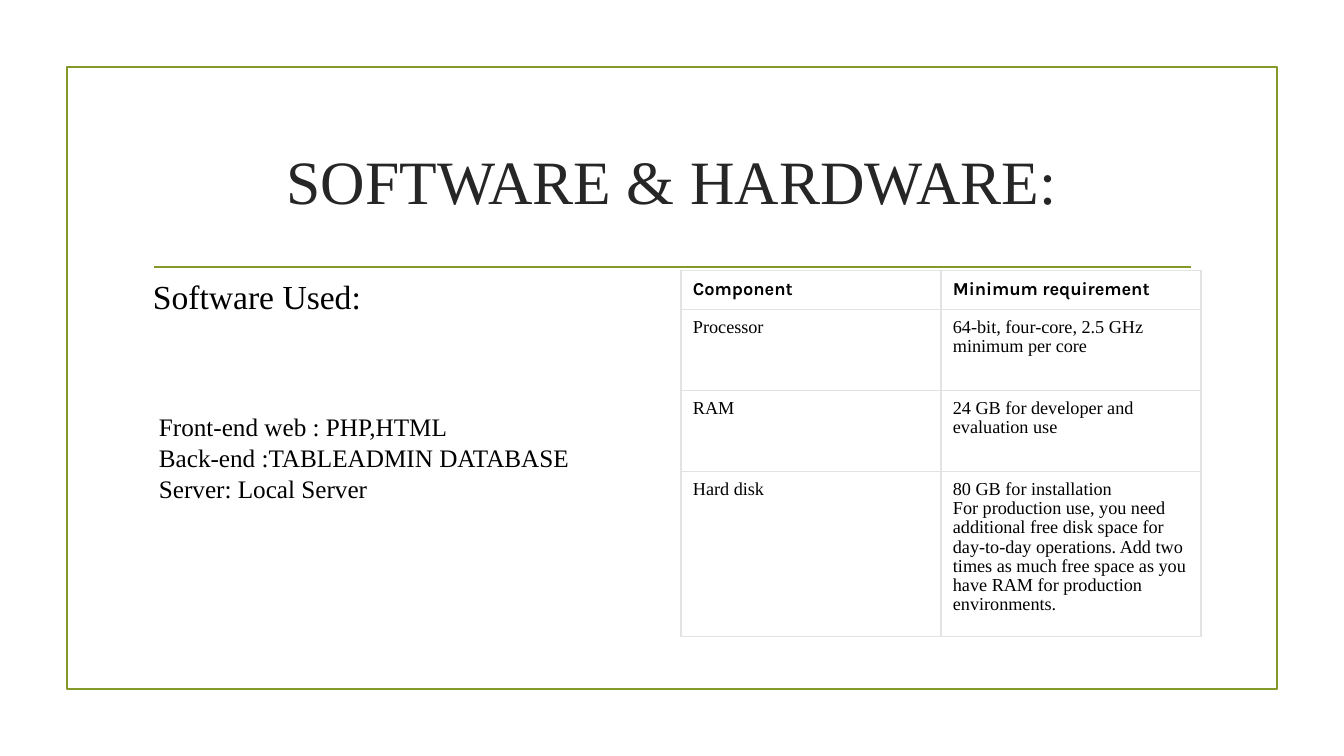
"""Builds the software and hardware requirements slide."""
from lxml.etree import SubElement
from pptx import Presentation
from pptx.dml.color import RGBColor
from pptx.enum.shapes import MSO_CONNECTOR as CONNECTOR, MSO_SHAPE as SHAPE
from pptx.enum.text import MSO_ANCHOR as ANCHOR, PP_ALIGN as ALIGN
from pptx.oxml.ns import qn
from pptx.util import Emu, Pt

OLIVE = RGBColor(0x83, 0x99, 0x2A)
CHARCOAL = RGBColor(0x26, 0x26, 0x26)
BLACK = RGBColor(0, 0, 0)
WHITE = RGBColor(0xFF, 0xFF, 0xFF)
GREY = RGBColor(0xE3, 0xE3, 0xE3)
SERIF = "Times New Roman"


def px(length):
    return Emu(round(length * 914400 / 100.8))


def add_text(paragraph, text, size, color=BLACK, font=SERIF, bold=False):
    run = paragraph.add_run()
    run.text = text
    run.font.size = Pt(size)
    run.font.name = font
    run.font.bold = bold
    run.font.color.rgb = color


deck = Presentation()
deck.slide_width, deck.slide_height = px(1344), px(756)
slide = deck.slides.add_slide(deck.slide_layouts[5])
shapes = slide.shapes

frame = shapes.add_shape(SHAPE.RECTANGLE, px(67), px(67), px(1210), px(622))
frame.shadow.inherit = False
frame.fill.background()
frame.line.color.rgb = OLIVE
frame.line.width = Pt(1.25)

divider = shapes.add_connector(CONNECTOR.STRAIGHT, px(154), px(267), px(1191), px(267))
divider.line.color.rgb = OLIVE
divider.line.width = Pt(1.25)
SubElement(divider._element.spPr, qn("a:effectLst"))

title = shapes.title
title.left, title.top, title.width, title.height = px(143), px(108), px(1058), px(144)
title.text_frame.vertical_anchor = ANCHOR.MIDDLE
heading = title.text_frame.paragraphs[0]
heading.alignment = ALIGN.CENTER
add_text(heading, "SOFTWARE & HARDWARE:", 44, CHARCOAL)

requirements = [
    ("Component", "Minimum requirement"),
    ("Processor", "64-bit, four-core, 2.5 GHz minimum per core"),
    ("RAM", "24 GB for developer and evaluation use"),
    ("Hard disk", "80 GB for installation\nFor production use, you need additional free disk "
     "space for day-to-day operations. Add two times as much free space as you have RAM "
     "for production environments."),
]
row_heights = [39, 81, 81, 165]
table = shapes.add_table(4, 2, px(681), px(270), px(520), px(sum(row_heights))).table
for column in table.columns:
    column.width = px(260)
for r, (entries, height) in enumerate(zip(requirements, row_heights)):
    table.rows[r].height = px(height)
    for c, entry in enumerate(entries):
        cell = table.cell(r, c)
        cell.margin_left = cell.margin_right = px(12)
        cell.margin_top = cell.margin_bottom = px(9)
        cell.vertical_anchor = ANCHOR.BOTTOM if r == 0 else ANCHOR.TOP
        for i, line in enumerate(entry.split("\n")):
            paragraph = cell.text_frame.add_paragraph() if i else cell.text_frame.paragraphs[0]
            if r == 0:
                add_text(paragraph, line, 13, font="Karla", bold=True)
            else:
                paragraph.line_spacing = 0.96
                add_text(paragraph, line, 13)
        cell_format = cell._tc.get_or_add_tcPr()
        for side, weight in (("L", 1), ("R", 1), ("T", 0.75), ("B", 0.75)):
            border = SubElement(cell_format, qn(f"a:ln{side}"), w=str(Pt(weight)))
            border_fill = SubElement(border, qn("a:solidFill"))
            SubElement(border_fill, qn("a:srgbClr"), val=str(GREY))
        cell.fill.solid()
        cell.fill.fore_color.rgb = WHITE

software = shapes.add_textbox(px(143), px(271), px(450), px(265)).text_frame
software.word_wrap = True
add_text(software.paragraphs[0], "Software Used:", 24)
stack = [
    "Front-end web : PHP,HTML",
    "Back-end :TABLEADMIN DATABASE",
    "Server: Local Server",
]
for i, item in enumerate(stack):
    paragraph = software.add_paragraph()
    paragraph.line_spacing = 1.03
    paragraph.space_before = Pt(0 if i else 67)
    paragraph._p.get_or_add_pPr().set("marL", str(px(6)))
    add_text(paragraph, item, 18)

deck.save("out.pptx")
